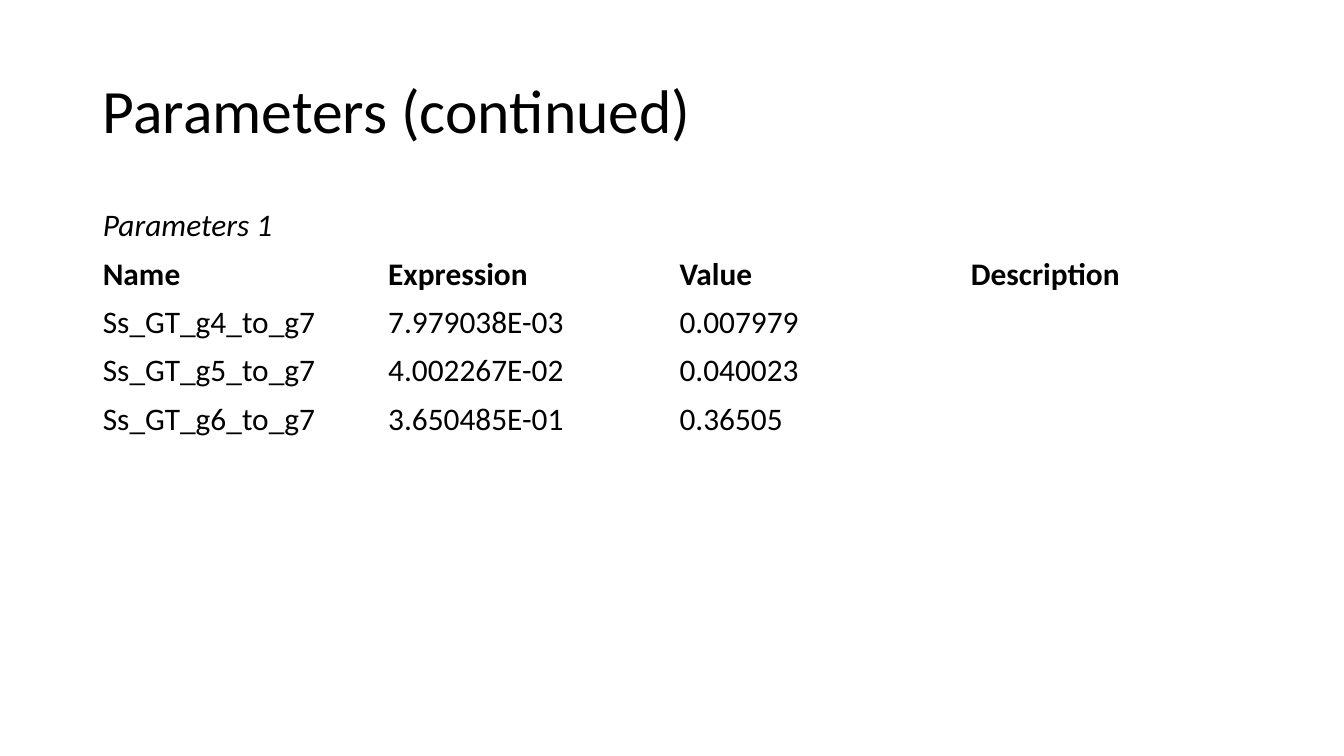
from pptx import Presentation
from pptx.dml.color import RGBColor
from pptx.enum.text import MSO_ANCHOR, PP_ALIGN
from pptx.util import Inches, Pt

BLACK = RGBColor(0x00, 0x00, 0x00)
FONT = "Calibri"
TITLE_ONLY = 5
LEFT = Inches(0.92)
COLUMN_WIDTHS = [2.83, 2.89, 2.89, 2.89]
ROWS = [
    ["Parameters 1", "", "", ""],
    ["Name", "Expression", "Value", "Description"],
    ["Ss_GT_g4_to_g7", "7.979038E-03", "0.007979", ""],
    ["Ss_GT_g5_to_g7", "4.002267E-02", "0.040023", ""],
    ["Ss_GT_g6_to_g7", "3.650485E-01", "0.36505", ""],
]


def style_font(font, size):
    font.name = FONT
    font.size = Pt(size)
    font.color.rgb = BLACK


deck = Presentation()
deck.slide_width = Inches(13.33)
deck.slide_height = Inches(7.5)
page = deck.slides.add_slide(deck.slide_layouts[TITLE_ONLY])

title = page.shapes.title
title.left, title.top = LEFT, Inches(0.4)
title.width, title.height = Inches(11.5), Inches(1.45)
title.text_frame.text = "Parameters (continued)"
title.text_frame.vertical_anchor = MSO_ANCHOR.MIDDLE
para = title.text_frame.paragraphs[0]
para.alignment = PP_ALIGN.LEFT
para.line_spacing = 0.9
style_font(para.runs[0].font, 44)

frame = page.shapes.add_table(
    len(ROWS), len(COLUMN_WIDTHS), LEFT, Inches(2), Inches(11.5), Inches(2.21)
)
table = frame.table
table.first_row = False
table.horz_banding = False
for column, width in zip(table.columns, COLUMN_WIDTHS):
    column.width = Inches(width)

for row_index, values in enumerate(ROWS):
    table.rows[row_index].height = Inches(0.28)
    for column_index, value in enumerate(values):
        cell = table.cell(row_index, column_index)
        cell.fill.background()
        if not value:
            continue
        cell.text_frame.text = value
        font = cell.text_frame.paragraphs[0].runs[0].font
        style_font(font, 22.4)
        font.italic = row_index == 0
        font.bold = row_index == 1

table.cell(0, 0).merge(table.cell(0, len(COLUMN_WIDTHS) - 1))
frame.height = Inches(2.21)

deck.save("out.pptx")
